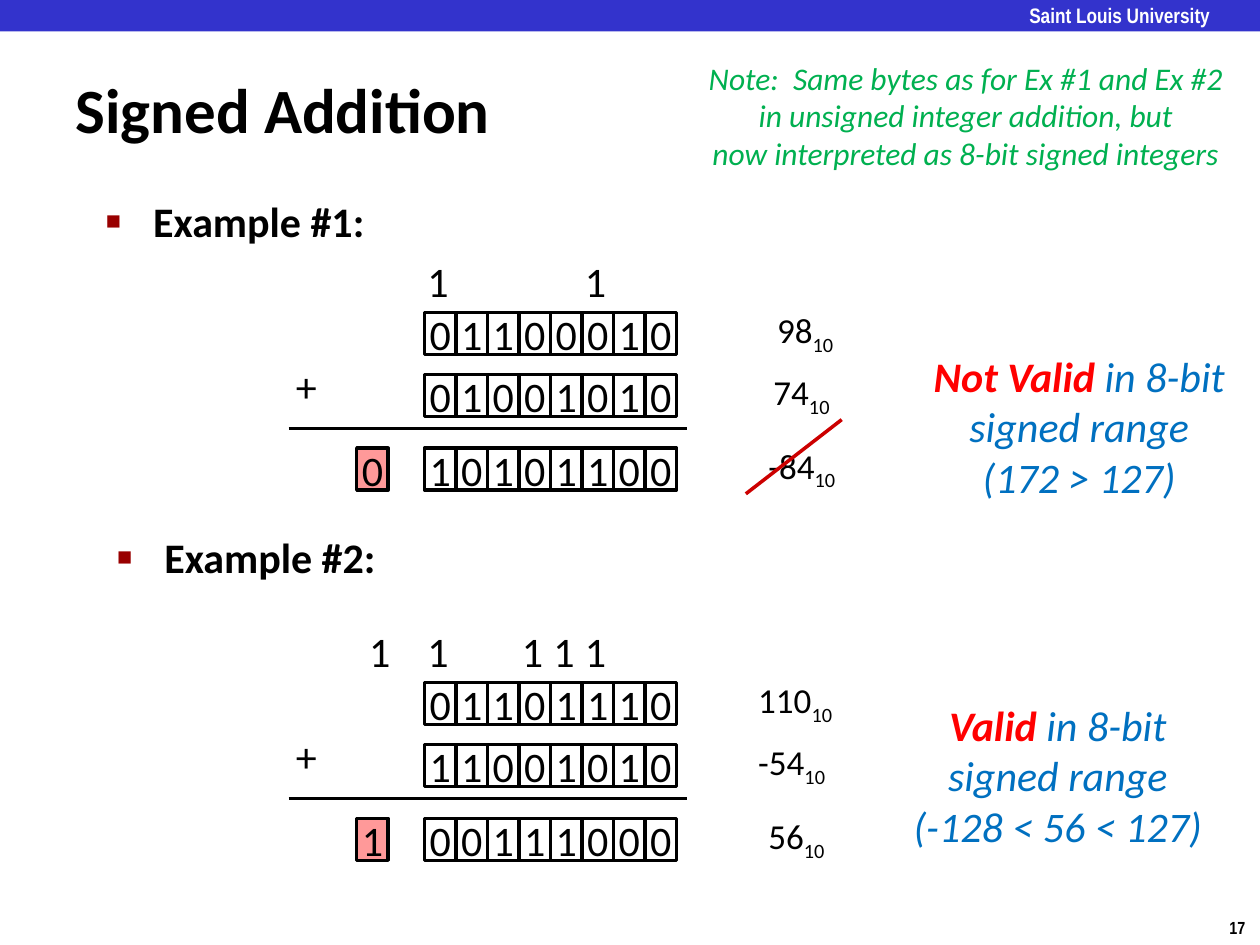
"""Build the slide on signed 8-bit addition with two worked examples."""
from dataclasses import dataclass
from typing import Any, NamedTuple

from lxml import etree
from pptx import Presentation
from pptx.dml.color import RGBColor
from pptx.enum.shapes import MSO_CONNECTOR, MSO_SHAPE
from pptx.enum.text import MSO_ANCHOR, MSO_AUTO_SIZE, PP_ALIGN
from pptx.oxml.ns import qn
from pptx.util import Pt

RECTANGLE = MSO_SHAPE.RECTANGLE
STRAIGHT = MSO_CONNECTOR.STRAIGHT
MIDDLE, TOP = MSO_ANCHOR.MIDDLE, MSO_ANCHOR.TOP
NO_FIT, GROW = MSO_AUTO_SIZE.NONE, MSO_AUTO_SIZE.SHAPE_TO_FIT_TEXT
LEFT, CENTER = PP_ALIGN.LEFT, PP_ALIGN.CENTER

CELL_WIDTH, CELL_HEIGHT = 18, 24
BITS_LEFT, CARRY_OUT_LEFT = 242.6, 203.8
ROW_OFFSETS = (0, 35.4, 77.5)
RULE_OFFSET = 66.2


@dataclass(frozen=True)
class Theme:
    font: str = "Calibri"
    narrow_font: str = "Arial Narrow"
    ink: str = "000000"
    paper: str = "FFFFFF"
    banner: str = "3333CC"
    bullet: str = "990000"
    carry_out: str = "FF9999"
    strike: str = "CC0000"
    verdict: str = "FF0000"
    reason: str = "0070C0"
    note: str = "00B050"
    title_size: int = 36
    main_size: int = 24
    decimal_size: int = 20
    note_size: int = 18
    banner_size: int = 12
    page_size: int = 10
    line_width: int = 2


class Box(NamedTuple):
    left: float
    top: float
    width: float
    height: float


class Row(NamedTuple):
    bits: str
    decimal: str
    decimal_left: float
    decimal_width: float


@dataclass(frozen=True)
class Example:
    top: float
    rows: tuple[Row, Row, Row]
    carry_columns: tuple[int, ...]
    carry_out: str
    verdict: str
    reason: tuple[str, str, str]
    verdict_box: Box


THEME = Theme()
EXAMPLES = (
    Example(178.6,
            (Row("01100010", "98", 437, 50), Row("01001010", "74", 434.9, 50), Row("10101100", "-84", 432, 56)),
            (0, 5), "0", "Not Valid ", ("in 8-bit", "signed range", "(172 > 127)"),
            Box(525.6, 196.6, 182.2, 94.3)),
    Example(390.1,
            (Row("01101110", "110", 426.2, 60), Row("11001010", "-54", 426.2, 56), Row("00111000", "56", 432, 50)),
            (0, 3, 4, 5), "1", "Valid ", ("in 8-bit", "signed range", "(-128 < 56 < 127)"),
            Box(514.1, 396, 180.7, 94.3)),
)


def rgb(color: str) -> RGBColor:
    return RGBColor.from_string(color)


def write(paragraph: Any, text: str, *, size: int = THEME.main_size, color: str = THEME.ink,
          font: str = THEME.font, bold: bool = False, italic: bool = False,
          subscript: bool = False, align: PP_ALIGN = LEFT) -> None:
    paragraph.alignment = align
    run = paragraph.add_run()
    run.text = text
    run.font.size, run.font.name = Pt(size), font
    run.font.bold, run.font.italic = bold, italic
    run.font.color.rgb = rgb(color)
    if subscript:
        run.font._element.set("baseline", "-25000")


def place(shape: Any, box: Box) -> None:
    shape.left, shape.top, shape.width, shape.height = map(Pt, box)


def add_frame(shapes: Any, box: Box, wrap: bool = False) -> Any:
    frame = shapes.add_textbox(*map(Pt, box)).text_frame
    frame.word_wrap = wrap
    frame.auto_size = NO_FIT if wrap else GROW
    return frame


def add_label(shapes: Any, box: Box, text: str, **style: Any) -> None:
    write(add_frame(shapes, box).paragraphs[0], text, **style)


def next_paragraph(frame: Any, index: int) -> Any:
    return frame.add_paragraph() if index else frame.paragraphs[0]


def add_block(shapes: Any, box: Box, fill: str) -> Any:
    block = shapes.add_shape(RECTANGLE, *map(Pt, box))
    block.shadow.inherit = False
    block.fill.solid()
    block.fill.fore_color.rgb = rgb(fill)
    block.line.fill.background()
    return block


def add_cell(shapes: Any, left: float, top: float, bit: str, fill: str = THEME.paper) -> None:
    cell = add_block(shapes, Box(left, top, CELL_WIDTH, CELL_HEIGHT), fill)
    cell.line.color.rgb = rgb(THEME.ink)
    cell.line.width = Pt(THEME.line_width)
    cell.text_frame.word_wrap = False
    cell.text_frame.vertical_anchor = MIDDLE
    write(cell.text_frame.paragraphs[0], bit, align=CENTER)


def add_line(shapes: Any, start: tuple[float, float], end: tuple[float, float], color: str) -> None:
    line = shapes.add_connector(STRAIGHT, *map(Pt, start + end))
    line.line.color.rgb = rgb(color)
    line.line.width = Pt(THEME.line_width)
    etree.SubElement(line._element.spPr, qn("a:effectLst"))


def write_heading(frame: Any, text: str) -> None:
    frame.auto_size, frame.vertical_anchor = NO_FIT, TOP
    paragraph = frame.paragraphs[0]
    paragraph.space_before = Pt(0)
    properties = paragraph._p.get_or_add_pPr()
    properties.set("marL", str(Pt(27)))
    properties.set("indent", str(-Pt(27)))
    bullet_color = etree.SubElement(properties, qn("a:buClr"))
    etree.SubElement(bullet_color, qn("a:srgbClr"), val=THEME.bullet)
    etree.SubElement(properties, qn("a:buSzPct"), val="60000")
    etree.SubElement(properties, qn("a:buFont"), typeface="Arial")
    etree.SubElement(properties, qn("a:buChar"), char="■")
    write(paragraph, text, bold=True)


def add_row(shapes: Any, row: Row, top: float) -> None:
    members = shapes.add_group_shape().shapes
    for column, bit in enumerate(row.bits):
        add_cell(members, BITS_LEFT + column * CELL_WIDTH, top, bit)
    decimal_box = Box(row.decimal_left, top - 5.8, row.decimal_width, 31.7)
    decimal = add_frame(members, decimal_box).paragraphs[0]
    write(decimal, row.decimal, size=THEME.decimal_size)
    write(decimal, "10", size=THEME.decimal_size, subscript=True)


def add_example(shapes: Any, example: Example) -> None:
    for row, offset in zip(example.rows, ROW_OFFSETS):
        add_row(shapes, row, example.top + offset)
    add_cell(shapes, CARRY_OUT_LEFT, example.top + ROW_OFFSETS[-1], example.carry_out, THEME.carry_out)
    carry_lefts = [BITS_LEFT - 5.5 + column * CELL_WIDTH for column in example.carry_columns]
    if example.carry_out == "1":
        carry_lefts.append(CARRY_OUT_LEFT)
    for left in carry_lefts:
        add_label(shapes, Box(left, example.top - 36, 26.6, 36), "1")
    add_label(shapes, Box(162, example.top + 23.8, 26.6, 36.7), "+")
    rule_top = example.top + RULE_OFFSET
    add_line(shapes, (164.9, rule_top), (392.4, rule_top), THEME.ink)
    frame = add_frame(shapes, example.verdict_box)
    for index, text in enumerate(example.reason):
        paragraph = next_paragraph(frame, index)
        if index == 0:
            write(paragraph, example.verdict, color=THEME.verdict, bold=True, italic=True, align=CENTER)
        write(paragraph, text, color=THEME.reason, italic=True, align=CENTER)


def main() -> None:
    deck = Presentation()
    deck.slide_width, deck.slide_height = Pt(720), Pt(540)
    slide = deck.slides.add_slide(deck.slide_layouts[1])
    shapes = slide.shapes
    add_block(shapes, Box(0, 0, 720, 18), THEME.banner)
    banner = add_frame(shapes, Box(588.2, 1.4, 120.2, 13.7), wrap=True)
    banner.margin_left = banner.margin_top = banner.margin_right = banner.margin_bottom = 0
    write(banner.paragraphs[0], "Saint Louis University", size=THEME.banner_size,
          font=THEME.narrow_font, color=THEME.paper, bold=True)
    add_label(shapes, Box(695.5, 520.6, 24.5, 19.4), "17", size=THEME.page_size,
              font=THEME.narrow_font, bold=True)

    title, body = shapes.title, slide.placeholders[1]
    place(title, Box(36, 40, 502.6, 43.9))
    title.text_frame.auto_size, title.text_frame.vertical_anchor = NO_FIT, MIDDLE
    write(title.text_frame.paragraphs[0], "Signed Addition", size=THEME.title_size, bold=True)
    place(body, Box(53.3, 108, 636.5, 36))
    write_heading(body.text_frame, "Example #1:")
    write_heading(add_frame(shapes, Box(59.8, 300.2, 636.5, 36), wrap=True), "Example #2:")

    for example in EXAMPLES:
        add_example(shapes, example)
    add_line(shapes, (426.2, 282.2), (481, 239.8), THEME.strike)
    note = add_frame(shapes, Box(396, 30, 311.8, 72.7))
    for index, text in enumerate(("Note:  Same bytes as for Ex #1 and Ex #2",
                                  "in unsigned integer addition, but",
                                  "now interpreted as 8-bit signed integers")):
        write(next_paragraph(note, index), text, size=THEME.note_size, color=THEME.note,
              italic=True, align=CENTER)
    deck.save("out.pptx")


if __name__ == "__main__":
    main()
